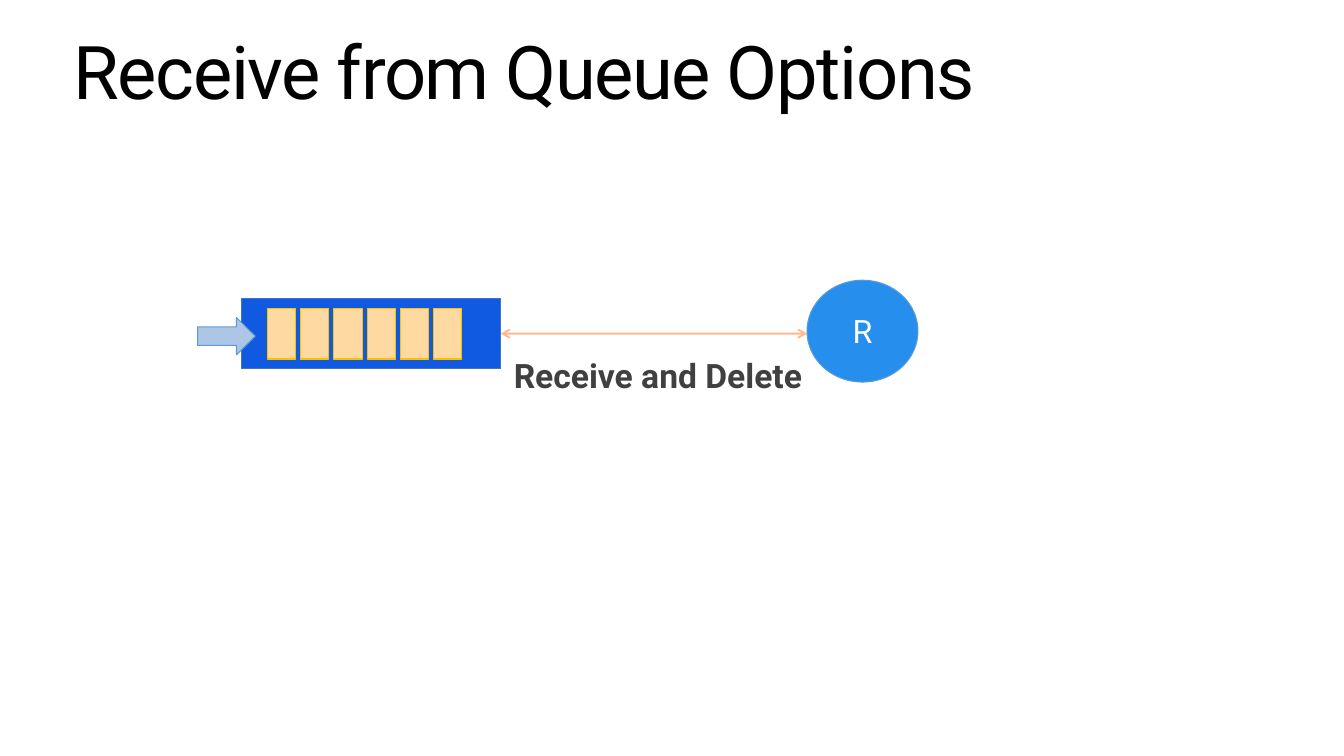
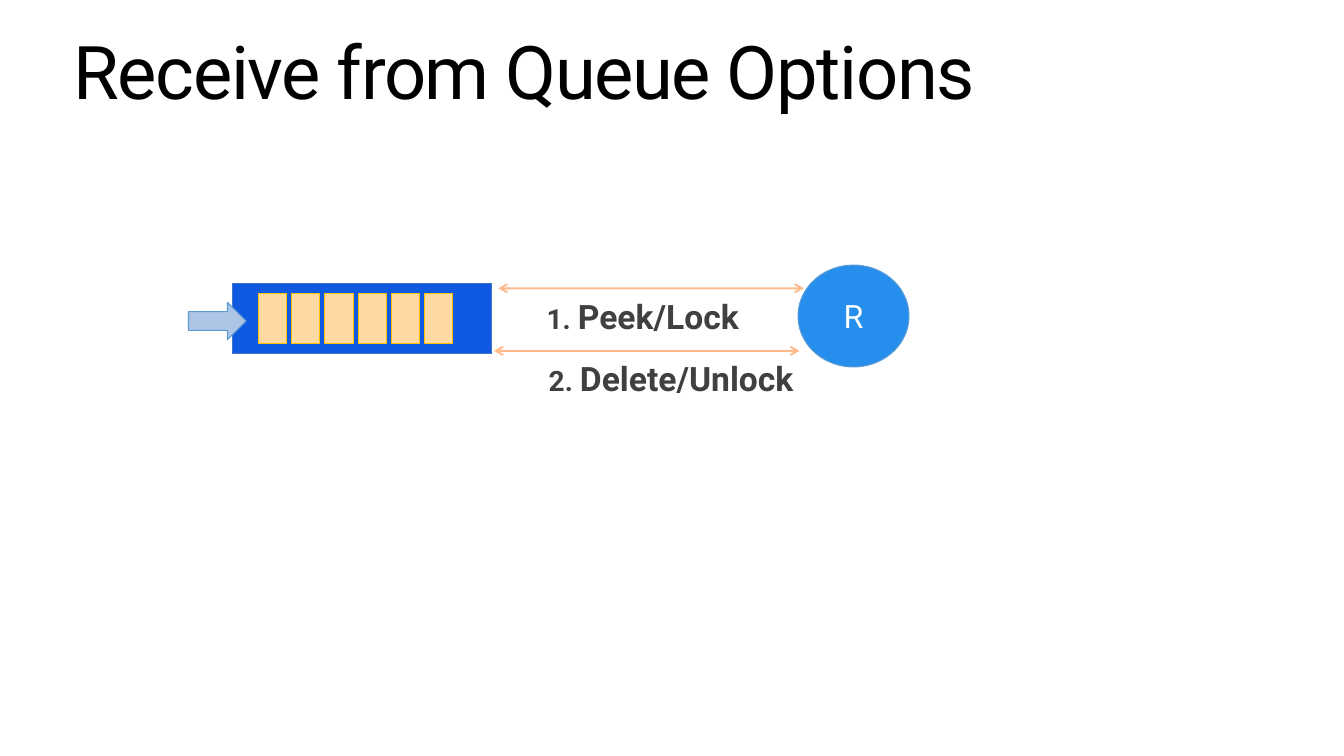
import dataclasses
import pptx
import pptx.util
import pptx.dml.color
import pptx.enum.shapes
import pptx.enum.text
import pptx.oxml.ns
from lxml import etree

Shape = pptx.enum.shapes.MSO_SHAPE
Align = pptx.enum.text.PP_ALIGN
Anchor = pptx.enum.text.MSO_ANCHOR
qn = pptx.oxml.ns.qn


@dataclasses.dataclass(frozen=True)
class Theme:
    font: str = "Roboto"
    title_ink: str = "000000"
    label_ink: str = "404040"
    receiver_ink: str = "FFFFFF"
    receiver_fill: str = "268FEE"
    soft_blue_line: str = "5B9BD5"
    queue_fill: str = "0F5AE0"
    queue_line: str = "4472C4"
    inflow_fill: str = "ADC6E5"
    message_fill: str = "FFD9A2"
    message_line: str = "FFC000"
    exchange_line: str = "FF7619"
    exchange_alpha: int = 50
    title_size: float = 52.9
    label_size: float = 24
    number_size: float = 20
    receiver_size: float = 23
    outline: float = 0.75
    exchange_width: float = 1.35


THEME = Theme()


@dataclasses.dataclass(frozen=True)
class Box:
    left: float
    top: float
    width: float
    height: float

    def point(self, column, row):
        return (round(self.left + self.width * column / 100),
                round(self.top + self.height * row / 100))

    def area(self, column, row, columns, rows):
        return Box(*self.point(column, row),
                   round(self.width * columns / 100),
                   round(self.height * rows / 100))

    def place(self):
        return self.left, self.top, self.width, self.height


def rgb(value):
    return pptx.dml.color.RGBColor.from_string(value)


def write(frame, *runs, color, bold=False, align=Align.LEFT, line_spacing=None, tracking=None):
    paragraph = frame.paragraphs[0]
    paragraph.alignment = align
    if line_spacing:
        paragraph.line_spacing = line_spacing
    for words, size in runs:
        run = paragraph.add_run()
        run.text = words
        run.font.name = THEME.font
        run.font.size = pptx.util.Pt(size)
        run.font.bold = bold
        run.font.color.rgb = rgb(color)
        if tracking:
            run._r.get_or_add_rPr().set("spc", str(tracking * 100))


def set_insets(frame, across, down):
    frame.margin_left = frame.margin_right = pptx.util.Inches(across)
    frame.margin_top = frame.margin_bottom = pptx.util.Inches(down)


def add_figure(slide, kind, box, fill, line):
    figure = slide.shapes.add_shape(kind, *box.place())
    figure.shadow.inherit = False
    figure.fill.solid()
    figure.fill.fore_color.rgb = rgb(fill)
    figure.line.color.rgb = rgb(line)
    figure.line.width = pptx.util.Pt(THEME.outline)
    return figure


def add_exchange(slide, start, end):
    exchange = slide.shapes.add_connector(
        pptx.enum.shapes.MSO_CONNECTOR.STRAIGHT, *start, *end)
    exchange.line.color.rgb = rgb(THEME.exchange_line)
    exchange.line.width = pptx.util.Pt(THEME.exchange_width)
    properties = exchange._element.spPr
    outline = properties.find(qn("a:ln"))
    alpha = etree.SubElement(outline.find(".//" + qn("a:srgbClr")), qn("a:alpha"))
    alpha.set("val", str(THEME.exchange_alpha * 1000))
    for end_tag in ("a:headEnd", "a:tailEnd"):
        etree.SubElement(outline, qn(end_tag)).set("type", "arrow")
    etree.SubElement(properties, qn("a:effectLst"))
    return exchange


def add_label(slide, box, *runs):
    frame = slide.shapes.add_textbox(*box.place()).text_frame
    frame.word_wrap = True
    set_insets(frame, 0, 0)
    write(frame, *runs, color=THEME.label_ink, bold=True)


def add_queue(slide, box, messages=6, gap=2):
    queue = add_figure(slide, Shape.RECTANGLE, box, THEME.queue_fill, THEME.queue_line)
    first, span = 10, 75
    width = (span - gap * (messages - 1)) / messages
    for index in range(messages):
        message = box.area(first + index * (width + gap), 14, width, 72)
        add_figure(slide, Shape.RECTANGLE, message, THEME.message_fill, THEME.message_line)
    return queue


def add_receiver(slide, box):
    receiver = add_figure(slide, Shape.OVAL, box, THEME.receiver_fill, THEME.soft_blue_line)
    receiver.text_frame.vertical_anchor = Anchor.MIDDLE
    write(receiver.text_frame, ("R", THEME.receiver_size),
          color=THEME.receiver_ink, align=Align.CENTER)


def add_queue_and_receiver(slide, box):
    queue = add_queue(slide, box.area(6.1, 17.8, 36, 69.3))
    add_figure(slide, Shape.RIGHT_ARROW, box.area(0, 36.6, 8, 36.6),
               THEME.inflow_fill, THEME.soft_blue_line)
    add_receiver(slide, box.area(84.6, 0, 15.4, 100))
    return queue


def style_title(layout, page):
    title = layout.placeholders[0]
    title.left, title.top, title.width, title.height = page.area(4.28, 3.33, 91.5, 8.93).place()
    frame = title.text_frame
    set_insets(frame, 0.16, 0.1)
    frame.vertical_anchor = Anchor.TOP
    frame.auto_size = pptx.enum.text.MSO_AUTO_SIZE.NONE
    frame.word_wrap = True


def add_options_slide(deck, layout):
    slide = deck.slides.add_slide(layout)
    write(slide.shapes.title.text_frame, ("Receive from Queue Options", THEME.title_size),
          color=THEME.title_ink, line_spacing=0.9, tracking=-1)
    return slide


def fill_receive_and_delete(slide, box):
    queue = add_queue_and_receiver(slide, box)
    middle = queue.top + queue.height // 2
    receiver_edge = box.point(84.6, 50)[0]
    exchange = add_exchange(slide, (queue.left + queue.width, middle), (receiver_edge, middle))
    exchange.begin_connect(queue, 3)
    add_label(slide, box.area(43.9, 73.3, 42, 39.6), ("Receive and Delete", THEME.label_size))


def fill_peek_and_unlock(slide, box):
    add_queue_and_receiver(slide, box)
    steps = [("Peek/Lock", 43, 22.8, 49.7), ("Delete/Unlock", 42.4, 84.2, 50)]
    for number, (action, start, row, label_start) in enumerate(steps, 1):
        add_exchange(slide, box.point(start, row), box.point(start + 42.4, row))
        add_label(slide, box.area(label_start, row + 7.4, 36, 39.6),
                  (f"{number}. ", THEME.number_size), (action, THEME.label_size))


def main():
    deck = pptx.Presentation()
    deck.slide_width = pptx.util.Inches(13.33)
    deck.slide_height = pptx.util.Inches(7.5)
    page = Box(0, 0, deck.slide_width, deck.slide_height)
    layout = deck.slide_layouts[5]
    style_title(layout, page)
    fill_receive_and_delete(add_options_slide(deck, layout), page.area(14.7, 37.07, 53.6, 13.47))
    fill_peek_and_unlock(add_options_slide(deck, layout), page.area(14.03, 35.07, 53.6, 13.47))
    deck.save("out.pptx")


if __name__ == "__main__":
    main()
